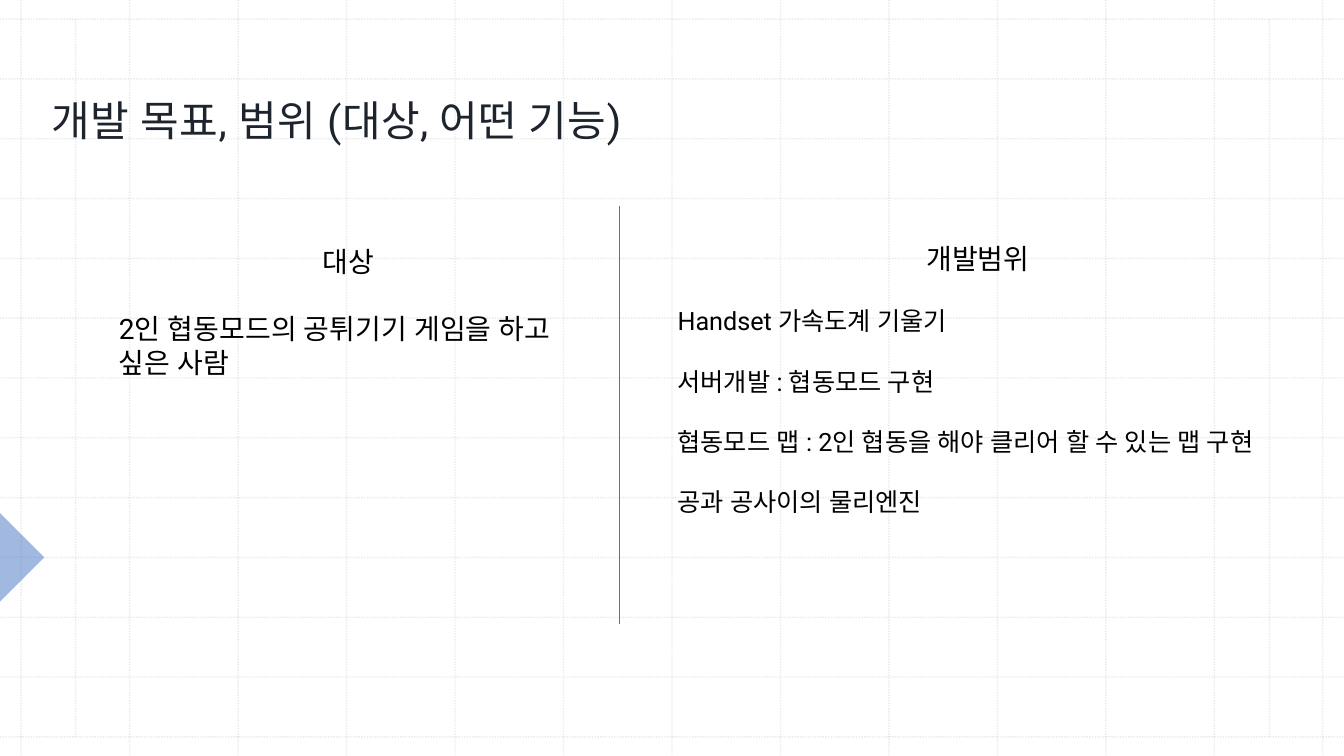
from lxml import etree
from pptx import Presentation
from pptx.dml.color import RGBColor
from pptx.enum.dml import MSO_LINE
from pptx.enum.shapes import MSO_CONNECTOR, MSO_SHAPE
from pptx.enum.text import MSO_ANCHOR, MSO_AUTO_SIZE, PP_ALIGN
from pptx.oxml.ns import qn
from pptx.util import Inches, Pt

WHITE = RGBColor(0xFF, 0xFF, 0xFF)
BLACK = RGBColor(0x00, 0x00, 0x00)
INK = RGBColor(0x1D, 0x24, 0x2E)
BLUE = RGBColor(0x44, 0x72, 0xC4)
GRID_GREY = RGBColor(0xBC, 0xBC, 0xBC)
DIVIDER_GREY = RGBColor(0x70, 0x70, 0x70)
FONT = "Roboto"
WIDTH, HEIGHT = 13.33, 7.5
GRID_LEFT, GRID_RIGHT = 0.21, 13.12
GRID_TOP, GRID_BOTTOM = 0.19, 7.31
GRID_STEPS = 12


def set_alpha(fill_parent, percent):
    color = next(fill_parent.iter(qn("a:srgbClr")))
    etree.SubElement(color, qn("a:alpha")).set("val", str(percent * 1000))


def add_line(shapes, x1, y1, x2, y2, color, width):
    line = shapes.add_connector(MSO_CONNECTOR.STRAIGHT, Inches(x1), Inches(y1),
                                Inches(x2), Inches(y2))
    line.line.color.rgb = color
    line.line.width = Pt(width)
    etree.SubElement(line.element.spPr, qn("a:effectLst"))
    return line


def add_grid(s):
    """Dotted, even grid with one extra vertical line at each side margin."""
    group = s.shapes.add_group_shape()
    dx = (GRID_RIGHT - GRID_LEFT) / GRID_STEPS
    dy = (GRID_BOTTOM - GRID_TOP) / GRID_STEPS
    ends = []
    for i in range(GRID_STEPS + 1):
        x, y = GRID_LEFT + i * dx, GRID_TOP + i * dy
        ends += [(x, 0, x, HEIGHT), (0, y, WIDTH, y)]
    ends += [(x, GRID_TOP, x, GRID_BOTTOM) for x in (0.75, 12.59)]
    for end in ends:
        line = add_line(group.shapes, *end, GRID_GREY, 1)
        line.line.dash_style = MSO_LINE.ROUND_DOT
        set_alpha(line.element.spPr, 30)


def add_side_triangle(s):
    sp = s.shapes.add_shape(MSO_SHAPE.RIGHT_TRIANGLE, Inches(-0.31), Inches(5.22),
                            Inches(0.62), Inches(0.62))
    sp.rotation = 225
    sp.shadow.inherit = False
    sp.fill.solid()
    sp.fill.fore_color.rgb = BLUE
    set_alpha(sp.element.spPr, 50)
    sp.line.fill.background()


def place(sp, left, top, width, height, anchor):
    """Move a placeholder, bring it to the front and return its text frame."""
    sp.left, sp.top = Inches(left), Inches(top)
    sp.width, sp.height = Inches(width), Inches(height)
    sp.element.getparent().append(sp.element)
    tf = sp.text_frame
    tf.word_wrap = True
    tf.auto_size = MSO_AUTO_SIZE.NONE
    tf.vertical_anchor = anchor
    return tf


def add_run(p, text, size, color):
    r = p.add_run()
    r.text = text
    r.font.size = Pt(size)
    r.font.color.rgb = color
    r.font.name = FONT
    etree.SubElement(r.font._element, qn("a:ea")).set("typeface", FONT)
    return r


def fill_title(sp, text):
    tf = place(sp, 0.39, -0.35, 7.73, 2.99, MSO_ANCHOR.MIDDLE)
    tf.margin_left = tf.margin_right = tf.margin_top = Inches(0.12)
    tf.margin_bottom = Inches(0.1)
    p = tf.paragraphs[0]
    p.alignment = PP_ALIGN.LEFT
    p.line_spacing = 1.14
    p.space_before = Pt(10)
    r = add_run(p, text, 30, INK)
    r.font._element.set("spc", "30")


def fill_column(sp, box, top_margin, heading, items, size, gap):
    """Centred heading over plain paragraphs without bullets."""
    tf = place(sp, *box, MSO_ANCHOR.TOP)
    tf.margin_top = Inches(top_margin)
    for i, text in enumerate([heading] + items):
        p = tf.add_paragraph() if i else tf.paragraphs[0]
        p.alignment = PP_ALIGN.LEFT if i else PP_ALIGN.CENTER
        p.space_before = Pt(gap if i else 0)
        pPr = p._p.get_or_add_pPr()
        pPr.set("marL", "0")
        pPr.set("indent", "0")
        etree.SubElement(pPr, qn("a:buNone"))
        add_run(p, text, size if i else 20, BLACK)


def main():
    prs = Presentation()
    prs.slide_width, prs.slide_height = Inches(WIDTH), Inches(HEIGHT)
    s = prs.slides.add_slide(prs.slide_layouts.get_by_name("Two Content"))
    s.background.fill.solid()
    s.background.fill.fore_color.rgb = WHITE
    for sp in list(s.placeholders):
        if sp.placeholder_format.idx > 2:
            sp.element.getparent().remove(sp.element)
    title, left, right = s.placeholders

    add_grid(s)
    add_side_triangle(s)
    fill_title(title, "개발 목표, 범위 (대상, 어떤 기능)")
    fill_column(right, (6.62, 2.04, 6.23, 3.74), 0.36, "개발범위 ",
                ["Handset 가속도계 기울기",
                 "서버개발 : 협동모드 구현",
                 "협동모드 맵 : 2인 협동을 해야 클리어 할 수 있는 맵 구현",
                 "공과 공사이의 물리엔진"], 18, 21.5)
    fill_column(left, (1.08, 2.04, 4.83, 2.39), 0.39, "대상 ",
                ["2인 협동모드의 공튀기기 게임을 하고 싶은 사람"], 20, 23.5)
    add_line(s.shapes, 6.14, 2.04, 6.14, 6.19, DIVIDER_GREY, 0.5)
    prs.save("out.pptx")


if __name__ == "__main__":
    main()
